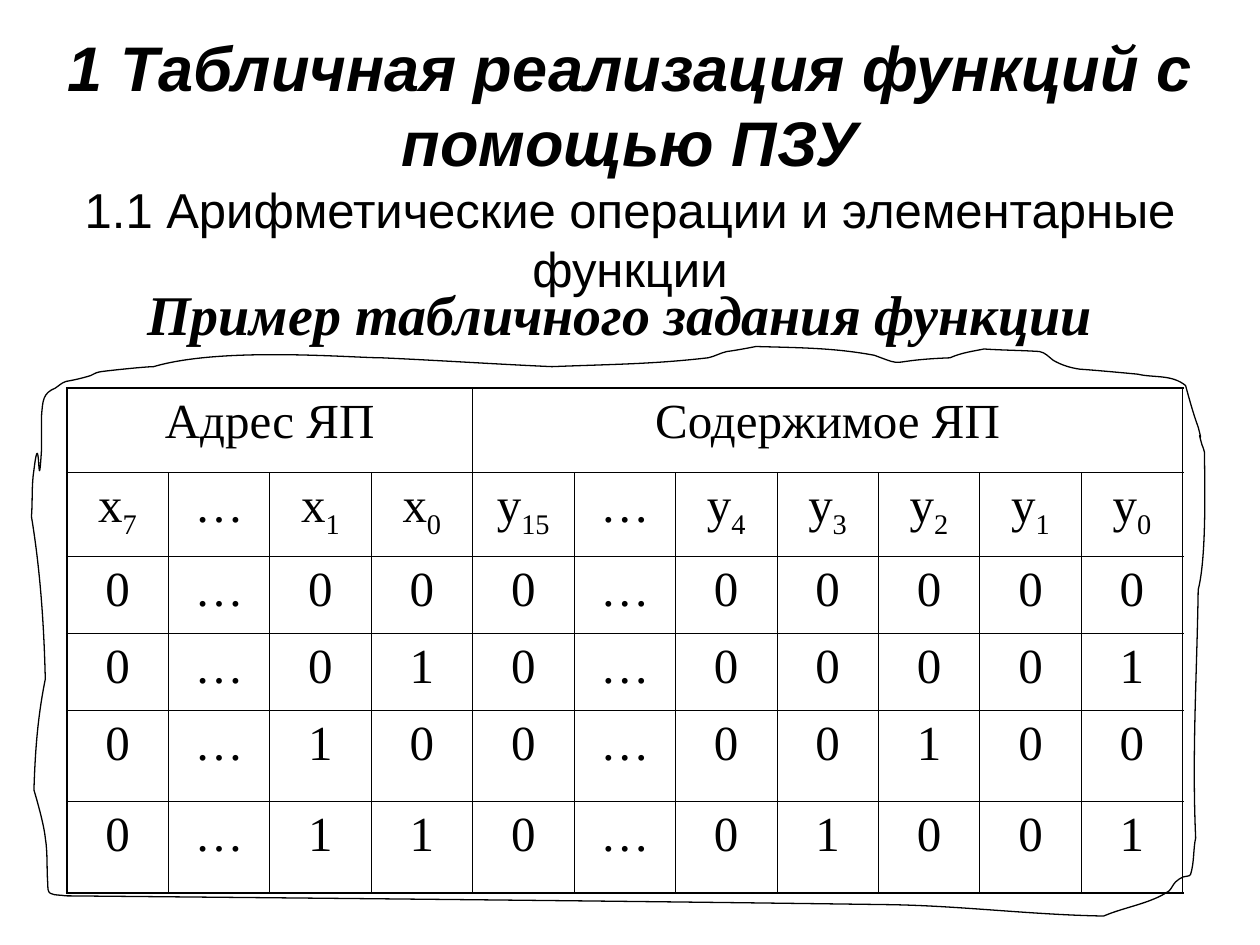
from dataclasses import dataclass
from typing import NamedTuple

from lxml.etree import SubElement
from pptx import Presentation
from pptx.dml.color import RGBColor
from pptx.enum.text import MSO_ANCHOR as Anchor, MSO_AUTO_SIZE as AutoSize, PP_ALIGN as Align
from pptx.oxml.ns import qn
from pptx.util import Inches, Pt


@dataclass(frozen=True)
class Theme:
    ink: RGBColor = RGBColor(0, 0, 0)
    sans: str = "Arial"
    serif: str = "Times New Roman"
    title: float = 36
    caption: float = 32
    body: float = 28
    thin: float = 0.45
    thick: float = 1.08
    outline: float = 0.74


class Entry(NamedTuple):
    base: str
    index: str = ""


class Curve(NamedTuple):
    x1: float
    y1: float
    x2: float
    y2: float
    x: float
    y: float


THEME = Theme()
TITLE = "1 Табличная реализация функций с помощью ПЗУ"
SUBTITLE = "1.1 Арифметические операции и элементарные функции"
CAPTION = "Пример табличного задания функции"
GROUPS = {0: ("Адрес ЯП", 4), 4: ("Содержимое ЯП", 7)}
COLUMNS = 11
ROW_HEIGHTS = (0.67, 0.67, 0.61, 0.61, 0.72, 0.73)
GROUP_ENDS = (4, COLUMNS)
SIGNALS = [
    Entry("х", "7"), Entry("…"), Entry("х", "1"), Entry("х", "0"),
    Entry("у", "15"), Entry("…"),
    *(Entry("у", str(bit)) for bit in range(4, -1, -1)),
]
MEMORY = ("0…000…00000", "0…010…00001", "0…100…00100", "0…110…01001")

START = (0.33, 3.3)
CURVES = [Curve(*points) for points in (
    (0.34, 3.18, 0.34, 3.12, 0.44, 3.08), (0.55, 3, 0.47, 3.05, 0.69, 2.99),
    (0.74, 2.98, 0.74, 2.96, 0.8, 2.95), (0.87, 2.94, 1.16, 2.91, 1.22, 2.91),
    (1.76, 2.75, 2.79, 2.84, 3.03, 2.84), (3.48, 2.86, 3.93, 2.89, 4.38, 2.91),
    (4.9, 2.89, 5.18, 2.89, 5.62, 2.84), (5.67, 2.83, 5.72, 2.8, 5.77, 2.79),
    (5.85, 2.78, 6, 2.75, 6, 2.75), (6.34, 2.76, 6.62, 2.76, 6.94, 2.82),
    (7.21, 2.92, 7.01, 2.86, 7.54, 2.84), (7.63, 2.8, 7.71, 2.79, 7.81, 2.77),
    (7.96, 2.78, 8.1, 2.78, 8.25, 2.79), (8.3, 2.8, 8.32, 2.83, 8.36, 2.86),
    (8.43, 2.9, 8.5, 2.92, 8.57, 2.93), (8.72, 2.94, 9.03, 2.97, 9.03, 2.97),
    (9.16, 3, 9.3, 2.97, 9.41, 3.06), (9.44, 3.17, 9.47, 3.28, 9.51, 3.39),
    (9.56, 3.58, 9.49, 3.35, 9.54, 3.53), (9.55, 3.55, 9.56, 3.59, 9.56, 3.59),
    (9.56, 3.78, 9.58, 4.41, 9.51, 4.68), (9.5, 5.36, 9.46, 5.98, 9.49, 6.65),
    (9.47, 6.74, 9.48, 6.84, 9.45, 6.94), (9.44, 6.96, 9.41, 6.95, 9.39, 6.96),
    (9.37, 6.97, 9.35, 6.98, 9.33, 7), (9.31, 7.02, 9.3, 7.05, 9.28, 7.07),
    (9.14, 7.17, 8.92, 7.2, 8.76, 7.27), (8.18, 7.26, 7.64, 7.19, 7.07, 7.18),
    (4.89, 7.15, 2.7, 7.13, 0.52, 7.11), (0.48, 7.1, 0.44, 7.11, 0.4, 7.09),
    (0.38, 7.08, 0.38, 7.05, 0.38, 7.02), (0.37, 6.9, 0.38, 6.77, 0.36, 6.65),
    (0.35, 6.55, 0.3, 6.37, 0.27, 6.27), (0.28, 5.95, 0.3, 5.69, 0.36, 5.39),
    (0.35, 4.96, 0.32, 4.52, 0.25, 4.1), (0.26, 3.98, 0.25, 3.85, 0.27, 3.73),
    (0.32, 3.32, 0.3, 4.04, 0.33, 3.57), (0.33, 3.48, 0.33, 3.39, 0.33, 3.3),
)]


def style(run, size: float, face: str, strong: bool = False) -> None:
    run.font.size = Pt(size)
    run.font.name = face
    run.font.bold = run.font.italic = strong
    run.font.color.rgb = THEME.ink


def draw_title(slide) -> None:
    heading = slide.shapes.title
    heading.left, heading.top = Inches(0.25), Inches(0.08)
    heading.width, heading.height = Inches(9.5), Inches(2.42)
    frame = heading.text_frame
    frame.text = f"{TITLE}\v{SUBTITLE}"
    frame.word_wrap = True
    frame.auto_size = AutoSize.NONE
    frame.vertical_anchor = Anchor.MIDDLE
    line = frame.paragraphs[0]
    line.alignment = Align.CENTER
    style(line.runs[0], THEME.title, THEME.sans, True)
    style(line.runs[1], THEME.body, THEME.sans)


def draw_caption(slide) -> None:
    caption = slide.shapes.add_textbox(Inches(0.42), Inches(2.17), Inches(9), Inches(0.75))
    caption.text_frame.word_wrap = True
    line = caption.text_frame.paragraphs[0]
    line.text = CAPTION
    line.alignment = Align.CENTER
    line.space_before = Pt(8)
    style(line.runs[0], THEME.caption, THEME.serif, True)


def set_borders(cell, row: int, column: int) -> None:
    end = column + (cell.span_width if cell.is_merge_origin else 1)
    heavy = {
        "L": column in (0, *GROUP_ENDS),
        "R": end in GROUP_ENDS,
        "T": row == 0,
        "B": row == len(ROW_HEIGHTS) - 1,
    }
    properties = cell._tc.get_or_add_tcPr()
    for side, is_heavy in heavy.items():
        width = Pt(THEME.thick if is_heavy else THEME.thin)
        border = SubElement(properties, qn(f"a:ln{side}"), w=str(int(width)))
        fill = SubElement(border, qn("a:solidFill"))
        SubElement(fill, qn("a:srgbClr"), val=str(THEME.ink))


def fill_cell(cell, entry: Entry) -> None:
    line = cell.text_frame.paragraphs[0]
    line.text = entry.base
    line.alignment = Align.CENTER
    line.space_before = Pt(7)
    if entry.index:
        subscript = line.add_run()
        subscript.text = entry.index
        subscript.font._element.set("baseline", "-25000")
    for run in line.runs:
        style(run, THEME.body, THEME.serif)


def draw_memory(slide) -> None:
    width = Inches(8.86)
    memory = slide.shapes.add_table(
        len(ROW_HEIGHTS), COLUMNS, Inches(0.53), Inches(3.08), width, Inches(sum(ROW_HEIGHTS))
    ).table
    memory.first_row = memory.horz_banding = False
    for column in memory.columns:
        column.width = width // COLUMNS
    for row, height in zip(memory.rows, ROW_HEIGHTS):
        row.height = Inches(height)
    for start, (label, span) in GROUPS.items():
        memory.cell(0, start).merge(memory.cell(0, start + span - 1))
        fill_cell(memory.cell(0, start), Entry(label))
    entries = [SIGNALS, *([Entry(value) for value in word] for word in MEMORY)]
    for row, line in enumerate(entries, 1):
        for column, entry in enumerate(line):
            fill_cell(memory.cell(row, column), entry)
    for row in range(len(ROW_HEIGHTS)):
        for column in range(COLUMNS):
            cell = memory.cell(row, column)
            if not cell.is_spanned:
                set_borders(cell, row, column)
            cell.fill.background()


def draw_outline(slide) -> None:
    builder = slide.shapes.build_freeform(Inches(START[0]), Inches(START[1]))
    builder.add_line_segments([(Inches(curve.x), Inches(curve.y)) for curve in CURVES], close=True)
    outline = builder.convert_to_shape()
    left, top = outline.left, outline.top
    contour = next(outline._element.iter(qn("a:path")))
    for segment, curve in zip(contour.findall(qn("a:lnTo")), CURVES):
        segment.tag = qn("a:cubicBezTo")
        segment.remove(segment[0])
        for x, y in zip(curve[::2], curve[1::2]):
            SubElement(segment, qn("a:pt"), x=str(Inches(x) - left), y=str(Inches(y) - top))
    outline.width = Inches(9.33)
    contour.set("w", str(int(outline.width)))
    outline.shadow.inherit = False
    outline.fill.background()
    outline.line.color.rgb = THEME.ink
    outline.line.width = Pt(THEME.outline)


def main() -> None:
    deck = Presentation()
    deck.slide_width, deck.slide_height = Inches(10), Inches(7.5)
    slide = deck.slides.add_slide(deck.slide_layouts[5])
    draw_title(slide)
    draw_caption(slide)
    draw_memory(slide)
    draw_outline(slide)
    deck.save("out.pptx")


main()
